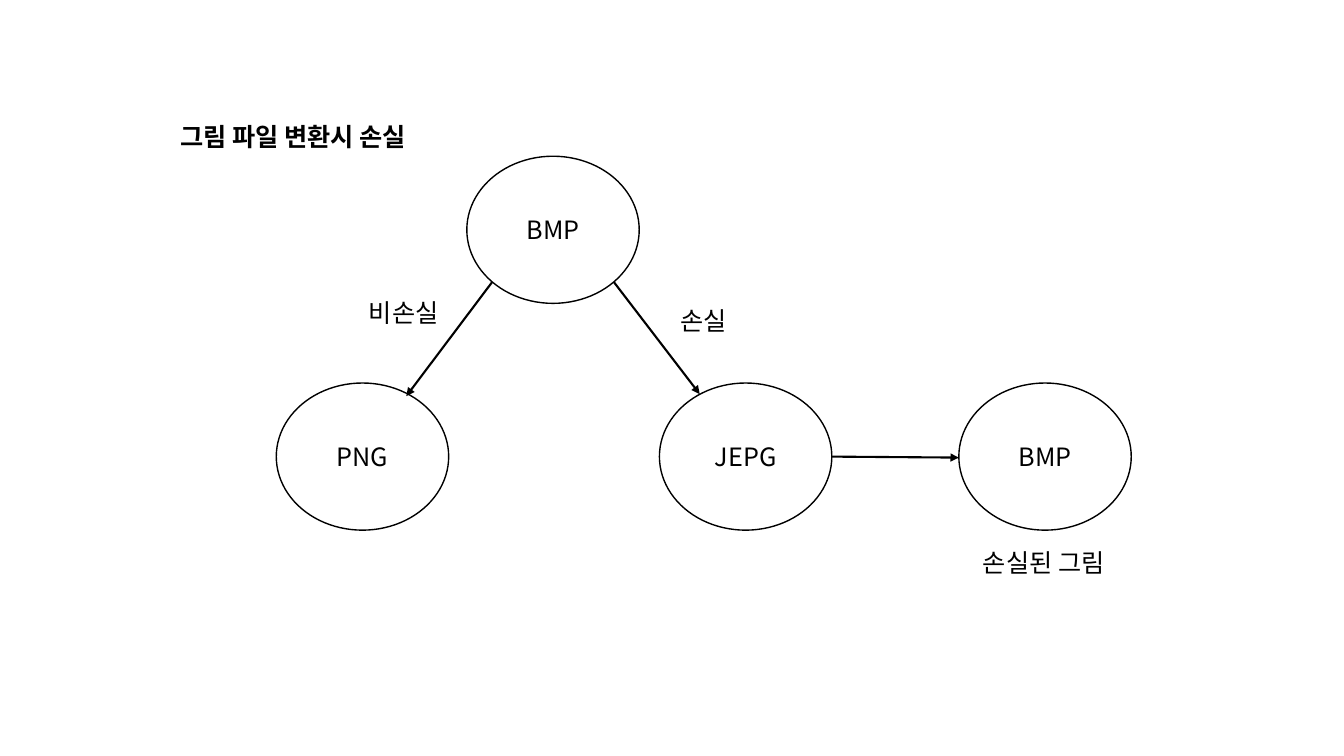
from lxml import etree
from pptx import Presentation
from pptx.dml.color import RGBColor
from pptx.enum import shapes, text
from pptx.oxml.ns import qn
from pptx.util import Inches, Pt

FONT = "Noto Sans CJK KR"
BLACK = "000000"
WHITE = "FFFFFF"
OVAL_WIDTH, OVAL_HEIGHT = 1.71, 1.46
LOWER_ROW = 3.8

FORMATS = [
    ("BMP", 4.63, 1.55),
    ("PNG", 2.74, LOWER_ROW),
    ("JEPG", 6.54, LOWER_ROW),
    ("BMP", 9.51, LOWER_ROW),
]
CONVERSIONS = [
    (8.25, 4.53, 9.51, 4.54),
    (4.88, 2.8, 4.03, 3.93),
    (6.09, 2.8, 6.94, 3.91),
]
LABELS = [
    ("손실", 6.65, 2.98, 1.08, False),
    ("비손실", 3.56, 2.9, 1.08, False),
    ("손실된 그림", 9.65, 5.38, 1.57, False),
    ("그림 파일 변환시 손실", 1.69, 1.15, 3.33, True),
]


def color(value):
    return RGBColor.from_string(value)


def write(frame, words, bold=False, align=text.PP_ALIGN.LEFT):
    frame.word_wrap = True
    para = frame.paragraphs[0]
    para.alignment = align
    span = para.add_run()
    span.text = words
    for name, value in {"name": FONT, "size": Pt(18), "bold": bold}.items():
        setattr(span.font, name, value)
    span.font.color.rgb = color(BLACK)
    east_asian = etree.SubElement(span.font._element, qn("a:ea"))
    east_asian.set("typeface", FONT)


def add_format(page, name, left, top):
    oval = page.shapes.add_shape(
        shapes.MSO_SHAPE.OVAL,
        Inches(left), Inches(top), Inches(OVAL_WIDTH), Inches(OVAL_HEIGHT),
    )
    oval.shadow.inherit = False
    oval.fill.solid()
    oval.fill.fore_color.rgb = color(WHITE)
    oval.line.color.rgb = color(BLACK)
    oval.line.width = Pt(1)
    oval.text_frame.vertical_anchor = text.MSO_ANCHOR.MIDDLE
    write(oval.text_frame, name, align=text.PP_ALIGN.CENTER)


def add_arrow(page, *ends):
    arrow = page.shapes.add_connector(
        shapes.MSO_CONNECTOR.STRAIGHT, *map(Inches, ends)
    )
    arrow.line.color.rgb = color(BLACK)
    arrow.line.width = Pt(1.5)
    outline = arrow.line._get_or_add_ln()
    etree.SubElement(outline, qn("a:tailEnd")).set("type", "triangle")
    etree.SubElement(arrow._element.spPr, qn("a:effectLst"))


def add_label(page, words, left, top, width, bold):
    box = page.shapes.add_textbox(
        Inches(left), Inches(top), Inches(width), Inches(0.4)
    )
    box.text_frame.auto_size = text.MSO_AUTO_SIZE.SHAPE_TO_FIT_TEXT
    write(box.text_frame, words, bold)


def main():
    deck = Presentation()
    deck.slide_width = Inches(13.33)
    deck.slide_height = Inches(7.5)
    page = deck.slides.add_slide(deck.slide_layouts[6])
    for item in FORMATS:
        add_format(page, *item)
    for ends in CONVERSIONS:
        add_arrow(page, *ends)
    for label in LABELS:
        add_label(page, *label)
    deck.save("out.pptx")


if __name__ == "__main__":
    main()
